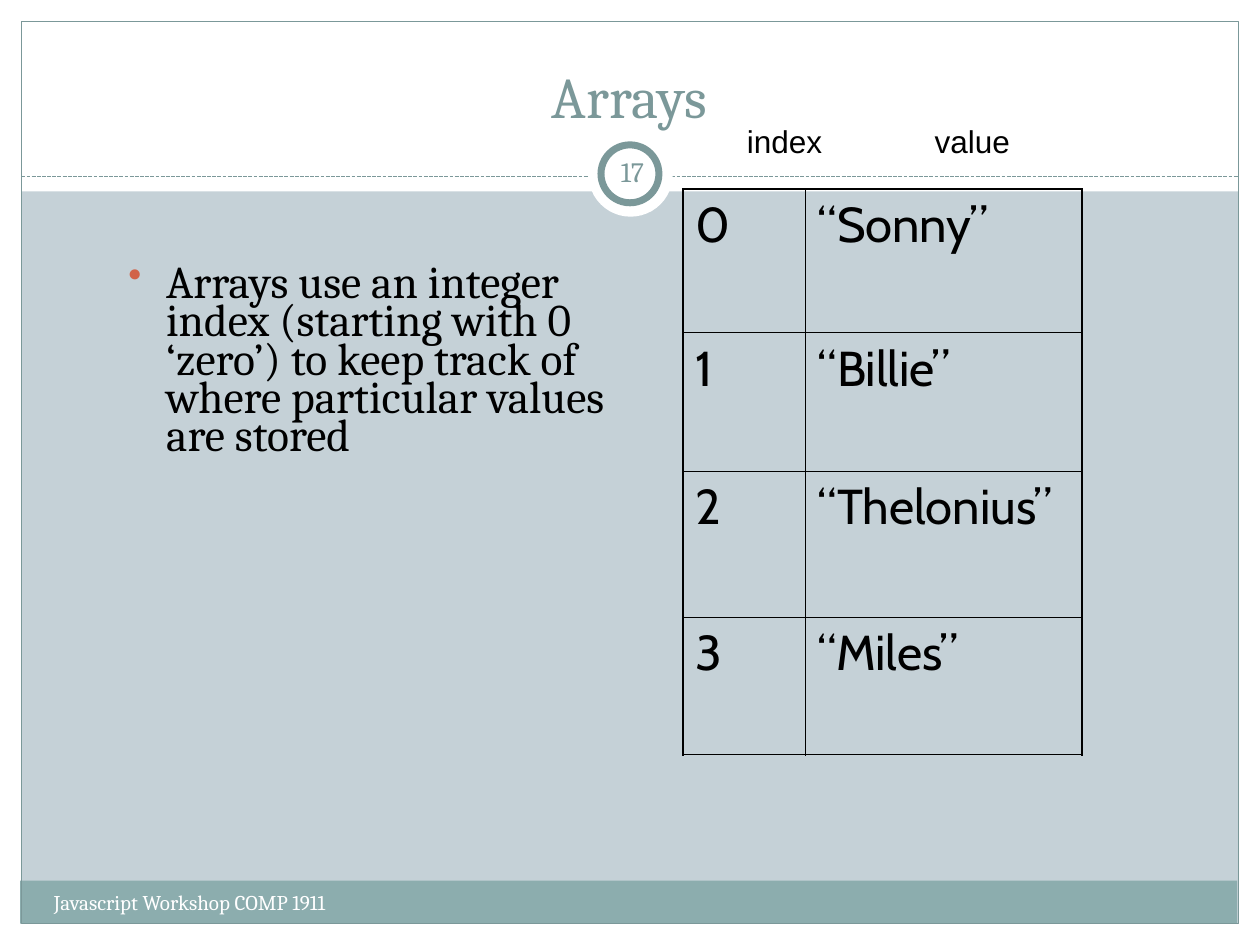
from dataclasses import dataclass
from typing import Optional

import pptx
import pptx.dml.color
import pptx.enum.dml
import pptx.enum.shapes
import pptx.enum.text
import pptx.oxml
import pptx.oxml.ns
import pptx.util
from lxml import etree
from pptx.util import Inches

Color = pptx.dml.color.RGBColor
Shape = pptx.enum.shapes.MSO_SHAPE
Align = pptx.enum.text.PP_ALIGN
Anchor = pptx.enum.text.MSO_ANCHOR
qn = pptx.oxml.ns.qn


@dataclass(frozen=True)
class Theme:
    background: str = "C5D1D7"
    paper: str = "FFFFFF"
    accent: str = "7B9899"
    footer: str = "8CADAE"
    bullet: str = "D16349"
    ink: str = "000000"
    serif: str = "Cambria"
    sans: str = "Arial"
    table: str = "Cabin"
    title_size: float = 33
    body_size: float = 26
    table_size: float = 28
    heading_size: float = 18
    number_size: float = 16
    footer_size: float = 12
    outer_border: float = 1.08
    inner_border: float = 0.45


THEME = Theme()


@dataclass(frozen=True)
class Panel:
    left: float
    top: float
    width: float
    height: float
    fill: Optional[str] = None
    line: Optional[str] = None
    weight: float = 0.75
    preset: Shape = Shape.RECTANGLE


@dataclass(frozen=True)
class Label:
    text: str
    left: float
    top: float
    width: float
    height: float
    size: float
    color: str
    font: str = THEME.serif
    align: Align = Align.LEFT
    anchor: Anchor = Anchor.TOP
    wrap: bool = True
    inset: float = 0.1
    bullet: Optional[str] = None
    tab: Optional[float] = None


PANELS = [
    Panel(0, 7.33, 10, 0.17, THEME.paper),
    Panel(0, 0, 10, 1.52, THEME.paper),
    Panel(0, 0, 0.17, 7.5, THEME.paper),
    Panel(9.83, 0, 0.17, 7.5, THEME.paper),
    Panel(0.16, 6.99, 9.66, 0.34, THEME.footer),
    Panel(0.17, 0.17, 9.66, 7.16, line=THEME.accent),
]
BADGE = [
    Panel(4.67, 1.05, 0.67, 0.67, THEME.paper, preset=Shape.OVAL),
    Panel(4.77, 1.15, 0.46, 0.46, THEME.paper, THEME.accent, 4, Shape.OVAL),
]
TITLE = Label("Arrays", 0.33, 0.25, 9.33, 0.83, THEME.title_size, THEME.accent,
              align=Align.CENTER, anchor=Anchor.BOTTOM)
LABELS = [
    Label("Arrays use an integer index (starting with 0 ‘zero’) to keep track of "
          "where particular values are stored",
          0.92, 2.08, 4.25, 1.83, THEME.body_size, THEME.ink, bullet="•"),
    Label("Javascript Workshop COMP 1911", 0.33, 7.01, 3.92, 0.4,
          THEME.footer_size, THEME.paper),
    Label("17", 4.77, 1.12, 0.5, 0.48, THEME.number_size, THEME.accent,
          align=Align.CENTER, anchor=Anchor.MIDDLE, inset=0.05),
]
HEADINGS = Label("index\tvalue", 5.83, 0.92, 2.3, 0.4, THEME.heading_size, THEME.ink,
                 THEME.sans, wrap=False, tab=1.49)
VALUES = ["“Sonny”", "“Billie”", "“Thelonius”", "“Miles”"]
COLUMN_WIDTHS = [0.97, 2.2]
ROW_HEIGHTS = [1.14, 1.1, 1.16, 1.09]


def rgb(color: str) -> Color:
    return Color.from_string(color)


def set_font(para, font: str, size: float, color: str) -> None:
    para.font.name = font
    para.font.size = pptx.util.Pt(size)
    para.font.color.rgb = rgb(color)


def draw_panel(page, panel: Panel) -> None:
    shape = page.shapes.add_shape(panel.preset, Inches(panel.left), Inches(panel.top),
                                  Inches(panel.width), Inches(panel.height))
    shape.shadow.inherit = False
    if panel.fill:
        shape.fill.solid()
        shape.fill.fore_color.rgb = rgb(panel.fill)
    else:
        shape.fill.background()
    if panel.line:
        shape.line.color.rgb = rgb(panel.line)
        shape.line.width = pptx.util.Pt(panel.weight)
    else:
        shape.line.fill.background()


def draw_divider(page) -> None:
    line = page.shapes.add_connector(pptx.enum.shapes.MSO_CONNECTOR.STRAIGHT,
                                     Inches(0.17), Inches(1.4), Inches(9.83), Inches(1.4))
    line.line.color.rgb = rgb(THEME.accent)
    line.line.width = pptx.util.Pt(0.75)
    line.line.dash_style = pptx.enum.dml.MSO_LINE.SQUARE_DOT
    etree.SubElement(line.element.spPr, qn("a:effectLst"))


def add_bullet(para, character: str) -> None:
    properties = para._p.get_or_add_pPr()
    properties.set("marL", str(Inches(0.3)))
    properties.set("indent", str(Inches(-0.3)))
    color = etree.SubElement(properties, qn("a:buClr"))
    etree.SubElement(color, qn("a:srgbClr"), val=THEME.bullet)
    etree.SubElement(properties, qn("a:buSzPct"), val="85000")
    etree.SubElement(properties, qn("a:buChar"), char=character)
    para.line_spacing = 0.7


def add_tab(para, position: float) -> None:
    tabs = etree.SubElement(para._p.get_or_add_pPr(), qn("a:tabLst"))
    etree.SubElement(tabs, qn("a:tab"), pos=str(Inches(position)), algn="l")


def fill_label(box, label: Label) -> None:
    box.left, box.top = Inches(label.left), Inches(label.top)
    box.width, box.height = Inches(label.width), Inches(label.height)
    frame = box.text_frame
    frame.auto_size = pptx.enum.text.MSO_AUTO_SIZE.NONE
    frame.word_wrap = label.wrap
    frame.vertical_anchor = label.anchor
    frame.margin_left = frame.margin_right = Inches(label.inset)
    frame.margin_top = frame.margin_bottom = Inches(0.05)
    para = frame.paragraphs[0]
    para.text = label.text
    para.alignment = label.align
    if label.bullet:
        add_bullet(para, label.bullet)
    if label.tab:
        add_tab(para, label.tab)
    set_font(para, label.font, label.size, label.color)


def draw_label(page, label: Label) -> None:
    fill_label(page.shapes.add_textbox(0, 0, 0, 0), label)


def set_borders(cell, outer_sides: dict[str, bool]) -> None:
    properties = cell._tc.get_or_add_tcPr()
    for side, outer in outer_sides.items():
        weight = THEME.outer_border if outer else THEME.inner_border
        border = etree.SubElement(properties, qn(f"a:ln{side}"), w=str(pptx.util.Pt(weight)))
        fill = etree.SubElement(border, qn("a:solidFill"))
        etree.SubElement(fill, qn("a:srgbClr"), val=THEME.ink)


def draw_table(page) -> None:
    last_row, last_column = len(ROW_HEIGHTS) - 1, len(COLUMN_WIDTHS) - 1
    table = page.shapes.add_table(len(ROW_HEIGHTS), len(COLUMN_WIDTHS), Inches(5.42), Inches(1.5),
                                  Inches(sum(COLUMN_WIDTHS)), Inches(sum(ROW_HEIGHTS))).table
    table.first_row = table.horz_banding = False
    for column, width in zip(table.columns, COLUMN_WIDTHS):
        column.width = Inches(width)
    for row, height in zip(table.rows, ROW_HEIGHTS):
        row.height = Inches(height)
    for index, value in enumerate(VALUES):
        for position, text in enumerate([str(index), value]):
            cell = table.cell(index, position)
            cell.text = text
            set_font(cell.text_frame.paragraphs[0], THEME.table, THEME.table_size, THEME.ink)
            set_borders(cell, {"L": position == 0, "R": position == last_column,
                               "T": index == 0, "B": index == last_row})
            cell.fill.background()


def main() -> None:
    deck = pptx.Presentation()
    deck.slide_width, deck.slide_height = Inches(10), Inches(7.5)
    page = deck.slides.add_slide(deck.slide_layouts.get_by_name("Title Only"))
    page.background.fill.solid()
    page.background.fill.fore_color.rgb = rgb(THEME.background)
    for panel in PANELS:
        draw_panel(page, panel)
    draw_divider(page)
    for panel in BADGE:
        draw_panel(page, panel)
    title = page.shapes.title
    fill_label(title, TITLE)
    page.shapes._spTree.append(title.element)
    for label in LABELS:
        draw_label(page, label)
    draw_table(page)
    draw_label(page, HEADINGS)
    deck.save("out.pptx")


if __name__ == "__main__":
    main()
